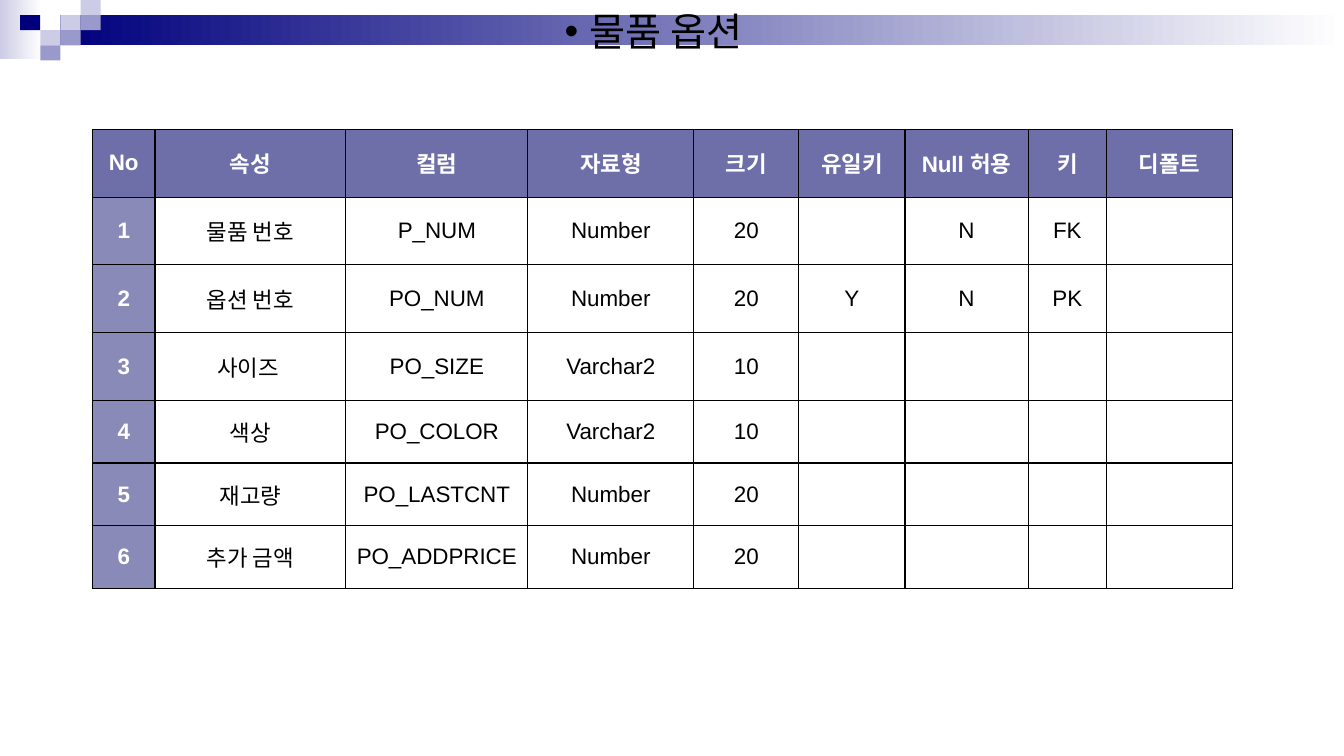
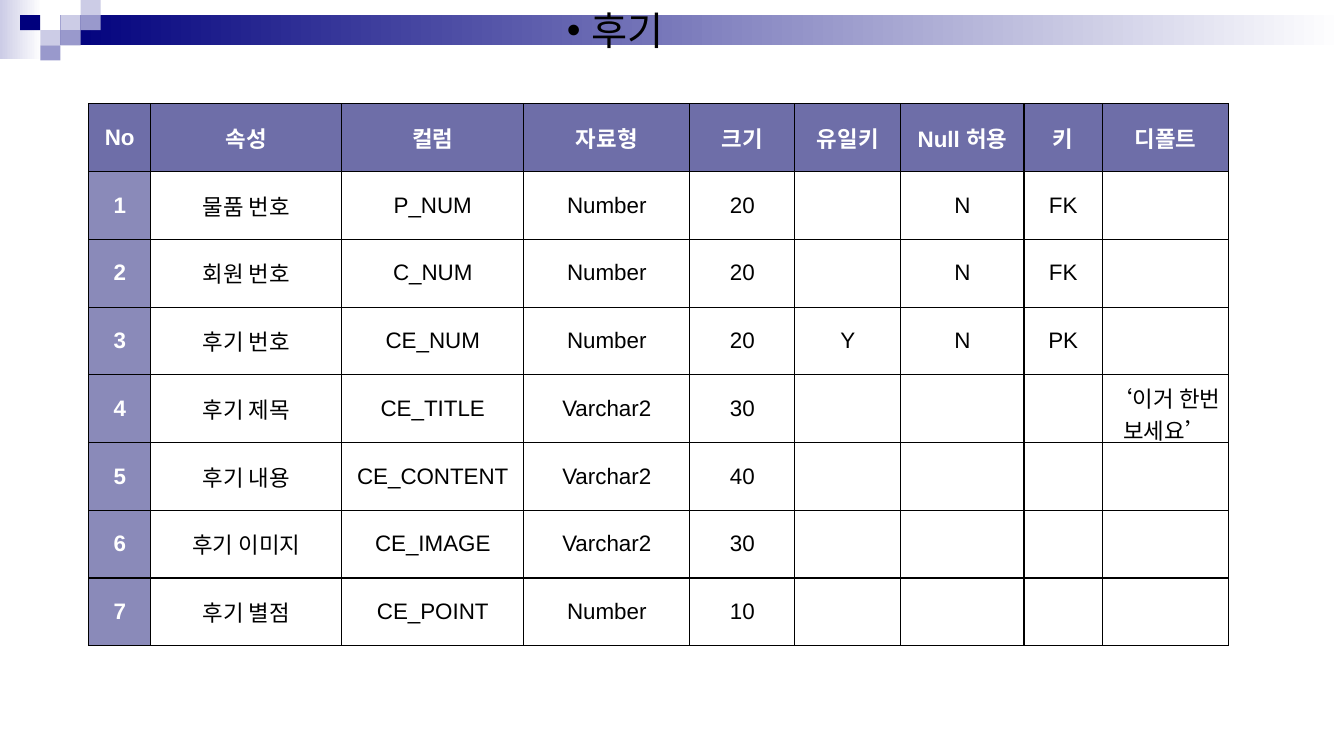
import pptx
import pptx.dml.color
import pptx.enum.shapes
import pptx.enum.text
import pptx.oxml
import pptx.oxml.ns
import pptx.util
from itertools import zip_longest

Pt = pptx.util.Pt
qn = pptx.oxml.ns.qn
CENTER = pptx.enum.text.PP_ALIGN.CENTER
MIDDLE = pptx.enum.text.MSO_ANCHOR.MIDDLE

# Shared look
FONT = "Arial"
NAVY, LILAC, VIOLET = "00007D", "CCCCE6", "9999CC"
HEADER_FILL, NUMBER_FILL = "6E6EA8", "8A8AB9"
WHITE, BLACK = "FFFFFF", "000000"
SLIDE_WIDTH, SLIDE_HEIGHT = 960, 540

# Corner mosaic: column, row, colour on a grid of small tiles
TILE_WIDTH, TILE_HEIGHT = 14.4, 10.8
TILES = [(3, 1, LILAC), (4, 0, LILAC), (4, 1, VIOLET), (2, 2, LILAC),
         (1, 1, NAVY), (3, 2, VIOLET), (2, 3, VIOLET)]

# Table content: the number column is counted, short rows end in empty cells
HEADINGS = ["No", "속성", "컬럼", "자료형", "크기", "유일키", "Null 허용", "키", "디폴트"]
COLUMN_WIDTHS = [44.5, 136.4, 130, 118.6, 75, 75.8, 88, 56, 90]
TALL_ROW, LOW_ROW = 48.4, 44.8

OPTION_ROWS = [
    ("물품 번호", "P_NUM", "Number", "20", "", "N", "FK"),
    ("옵션 번호", "PO_NUM", "Number", "20", "Y", "N", "PK"),
    ("사이즈 ", "PO_SIZE", "Varchar2", "10"),
    ("색상", "PO_COLOR", "Varchar2", "10"),
    ("재고량", "PO_LASTCNT", "Number", "20"),
    ("추가 금액", "PO_ADDPRICE", "Number", "20"),
]
REVIEW_ROWS = [
    ("물품 번호", "P_NUM", "Number", "20", "", "N", "FK"),
    ("회원 번호", "C_NUM", "Number", "20", "", "N", "FK"),
    ("후기 번호", "CE_NUM", "Number", "20", "Y", "N", "PK"),
    ("후기 제목", "CE_TITLE", "Varchar2", "30", "", "", "", "‘이거 한번 보세요’"),
    ("후기 내용", "CE_CONTENT", "Varchar2", "40"),
    ("후기 이미지", "CE_IMAGE", "Varchar2", "30"),
    ("후기 별점", "CE_POINT", "Number", "10"),
]

TITLE_FRAME = {"word_wrap": True, "margin_left": Pt(7.2), "margin_right": Pt(7.2),
               "margin_top": 0, "margin_bottom": 0}
TITLE_PARAGRAPH = {"alignment": CENTER, "line_spacing": 0.9}
CELL_FORMAT = {"vertical_anchor": MIDDLE, "margin_left": Pt(4.5), "margin_right": Pt(4.5),
               "margin_top": Pt(4.5), "margin_bottom": Pt(4.5)}


def color(value):
    return pptx.dml.color.RGBColor.from_string(value)


def apply(target, values):
    for name, value in values.items():
        setattr(target, name, value)


def style_font(font, size, font_color, bold=False):
    apply(font, {"name": FONT, "size": Pt(size), "bold": bold})
    font.color.rgb = color(font_color)


# Header band, kept on the slide master
def add_block(slide, left, top, width, height, *colors):
    block = slide.shapes.add_shape(pptx.enum.shapes.MSO_SHAPE.RECTANGLE,
                                   Pt(left), Pt(top), Pt(width), Pt(height))
    block.shadow.inherit = False
    block.line.fill.background()
    if len(colors) == 1:
        block.fill.solid()
        block.fill.fore_color.rgb = color(colors[0])
    else:
        block.fill.gradient()
        block.fill.gradient_angle = 0
        for stop, stop_color in zip(block.fill.gradient_stops, colors):
            stop.color.rgb = color(stop_color)
    return block


def add_master_band(master, slide):
    blocks = [add_block(slide, 0, 0, 30, 42, LILAC, WHITE),
              add_block(slide, 43.2, 10.8, SLIDE_WIDTH - 43.2, 21.6, NAVY, WHITE)]
    for column, row, tile_color in TILES:
        blocks.append(add_block(slide, column * TILE_WIDTH, row * TILE_HEIGHT,
                                TILE_WIDTH, TILE_HEIGHT, tile_color))
    for block_id, block in enumerate(blocks, start=100):
        block.element.nvSpPr.cNvPr.set("id", str(block_id))
        master.element.cSld.spTree.append(block.element)


# Bulleted title
def add_title(slide, text, left, top):
    frame = slide.shapes.add_textbox(Pt(left), Pt(top), Pt(611.3), Pt(36)).text_frame
    apply(frame, TITLE_FRAME)
    title = frame.paragraphs[0]
    properties = title._p.get_or_add_pPr()
    properties.set("marL", str(Pt(18)))
    properties.set("indent", str(Pt(-18)))
    for tag, name, value in (("a:buFont", "typeface", FONT), ("a:buChar", "char", "•")):
        pptx.oxml.xmlchemy.OxmlElement(tag)
        bullet = properties.makeelement(qn(tag), {name: value})
        properties.append(bullet)
    apply(title, TITLE_PARAGRAPH)
    run = title.add_run()
    run.text = text
    style_font(run.font, 28, BLACK)


# Column definition table
def add_borders(cell):
    properties = cell._tc.get_or_add_tcPr()
    for index, side in enumerate(("a:lnL", "a:lnR", "a:lnT", "a:lnB")):
        border = properties.makeelement(qn(side), {"w": str(Pt(1))})
        fill = border.makeelement(qn("a:solidFill"), {})
        fill.append(fill.makeelement(qn("a:srgbClr"), {"val": BLACK}))
        border.append(fill)
        properties.insert(index, border)


def fill_cell(cell, text, fill_color):
    apply(cell, CELL_FORMAT)
    if fill_color:
        cell.fill.solid()
        cell.fill.fore_color.rgb = color(fill_color)
    else:
        cell.fill.background()
    add_borders(cell)
    cell.text = text
    paragraph = cell.text_frame.paragraphs[0]
    paragraph.alignment = CENTER
    for styled in [paragraph, *paragraph.runs]:
        style_font(styled.font, 16, WHITE if fill_color else BLACK, bool(fill_color))


def add_column_table(slide, rows, left, top, row_heights):
    lines = [HEADINGS] + [(str(number), *row) for number, row in enumerate(rows, start=1)]
    table = slide.shapes.add_table(len(lines), len(HEADINGS), Pt(left), Pt(top),
                                   Pt(sum(COLUMN_WIDTHS)), Pt(sum(row_heights))).table
    apply(table, {"first_row": False, "horz_banding": False})
    for column, width in zip(table.columns, COLUMN_WIDTHS):
        column.width = Pt(width)
    for row_index, (line, height) in enumerate(zip(lines, row_heights)):
        table.rows[row_index].height = Pt(height)
        for column_index, (_, text) in enumerate(zip_longest(HEADINGS, line, fillvalue="")):
            if row_index == 0:
                fill_color = HEADER_FILL
            else:
                fill_color = NUMBER_FILL if column_index == 0 else None
            fill_cell(table.cell(row_index, column_index), text, fill_color)


def main():
    deck = pptx.Presentation()
    apply(deck, {"slide_width": Pt(SLIDE_WIDTH), "slide_height": Pt(SLIDE_HEIGHT)})
    blank = deck.slide_layouts[6]

    # Product options
    options = deck.slides.add_slide(blank)
    add_master_band(deck.slide_master, options)
    add_title(options, "물품 옵션", 161.3, 9)
    add_column_table(options, OPTION_ROWS, 66.2, 92.4, [TALL_ROW] * 4 + [LOW_ROW] * 3)

    # Reviews
    reviews = deck.slides.add_slide(blank)
    add_title(reviews, "후기", 133.9, 8)
    add_column_table(reviews, REVIEW_ROWS, 63.3, 74.2, [TALL_ROW] * 8)

    deck.save("out.pptx")


if __name__ == "__main__":
    main()
